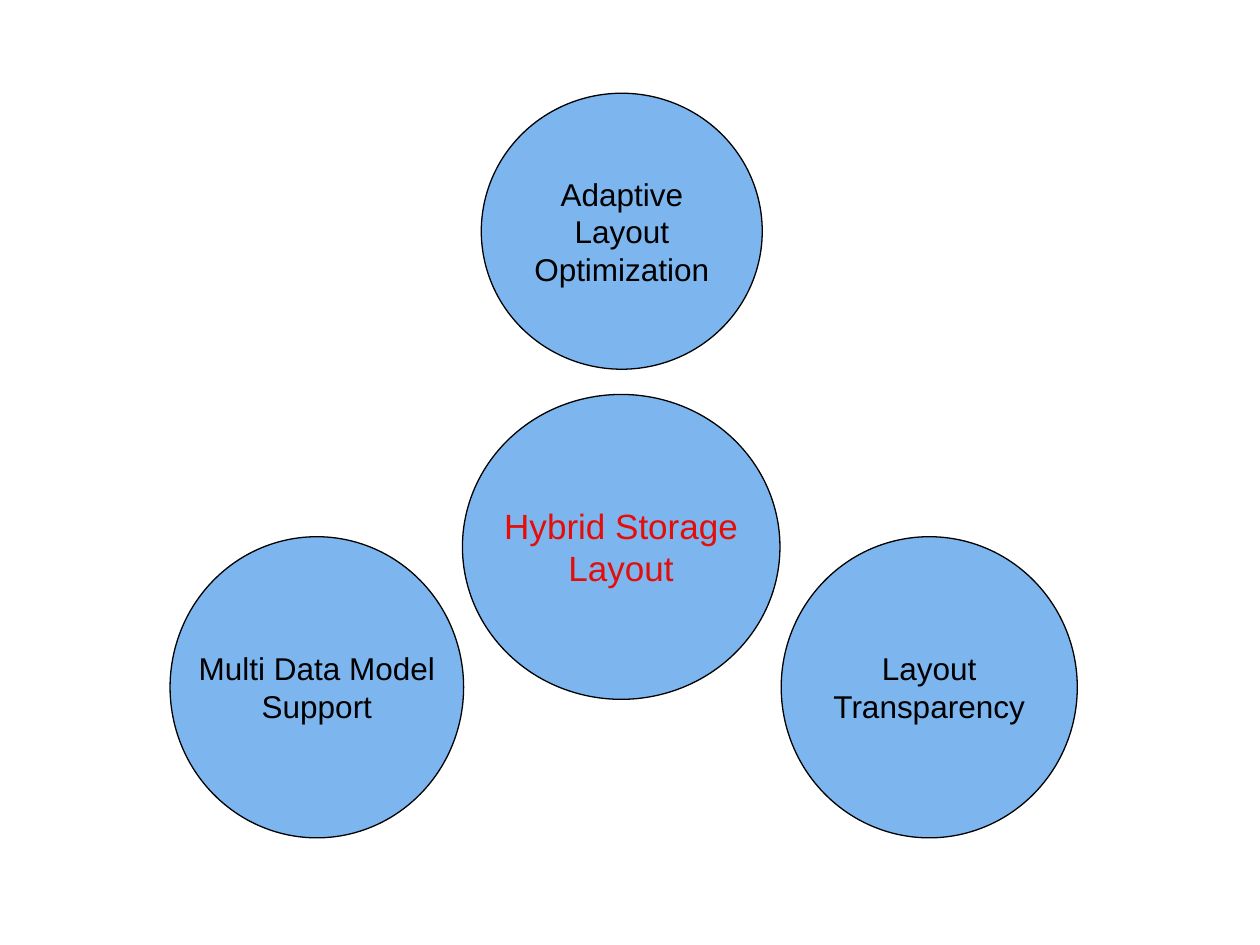
"""Build a slide of three circles around the hybrid storage layout circle."""
from pptx import Presentation
from pptx import util as u
from pptx.dml.color import RGBColor
from pptx.enum import shapes, text

WIDE, HIGH = u.Inches(10), u.Inches(7.5)
HUES = {"disc": "7DB6EF", "edge": "000000", "ink": "000000", "core": "E40D08"}
FRAME = {
    "word_wrap": False,
    "auto_size": text.MSO_AUTO_SIZE.SHAPE_TO_FIT_TEXT,
    "vertical_anchor": text.MSO_ANCHOR.MIDDLE,
    **{f"margin_{side}": u.Inches(0.05) for side in ("left", "top", "right", "bottom")},
}
SMALL = {"name": "Arial", "size": u.Pt(18)}
LARGE = {"name": "Arial", "size": u.Pt(20)}


def hue(key):
    return RGBColor.from_string(HUES[key])


def assign(item, values):
    for key, value in values.items():
        setattr(item, key, value)


def box(mid, size):
    """Turn a centre and a size, in percent of the slide, into left, top, width, height."""
    (x, y), (w, h) = mid, size
    return (int(WIDE * (x - w / 2) / 100), int(HIGH * (y - h / 2) / 100),
            int(WIDE * w / 100), int(HIGH * h / 100))


def add_disc(group, mid, size):
    disc = group.shapes.add_shape(shapes.MSO_SHAPE.OVAL, *box(mid, size))
    disc.shadow.inherit = False
    disc.fill.solid()
    disc.fill.fore_color.rgb = hue("disc")
    disc.line.color.rgb = hue("edge")
    disc.line.width = u.Pt(0.75)


def add_label(group, mid, size, lines, font, ink):
    frame = group.shapes.add_textbox(*box(mid, size)).text_frame
    assign(frame, FRAME)
    frame.text = "\n".join(lines)
    for para in frame.paragraphs:
        para.alignment = text.PP_ALIGN.CENTER
        for run in para.runs:
            assign(run.font, font)
            run.font.color.rgb = hue(ink)


def add_topic(slide, mid, size, room, lines, font=SMALL, ink="ink"):
    group = slide.shapes.add_group_shape()
    add_disc(group, mid, size)
    add_label(group, mid, room, lines, font, ink)


def main():
    deck = Presentation()
    assign(deck, {"slide_width": WIDE, "slide_height": HIGH})
    slide = deck.slides.add_slide(deck.slide_layouts[6])
    add_topic(slide, (49.35, 24.47), (22.3, 29.2), (18.9, 9.33),
              ("Adaptive Layout", "Optimization"))
    add_topic(slide, (25.15, 72.73), (23.3, 31.87), (19.8, 9.33),
              ("Multi Data Model", "Support"))
    add_topic(slide, (73.75, 72.73), (23.5, 31.87), (16.3, 9.33),
              ("Layout", "Transparency"))
    add_topic(slide, (49.3, 57.87), (25.2, 32.27), (19.6, 10.27),
              ("Hybrid Storage", "Layout"), LARGE, "core")
    deck.save("out.pptx")


if __name__ == "__main__":
    main()
